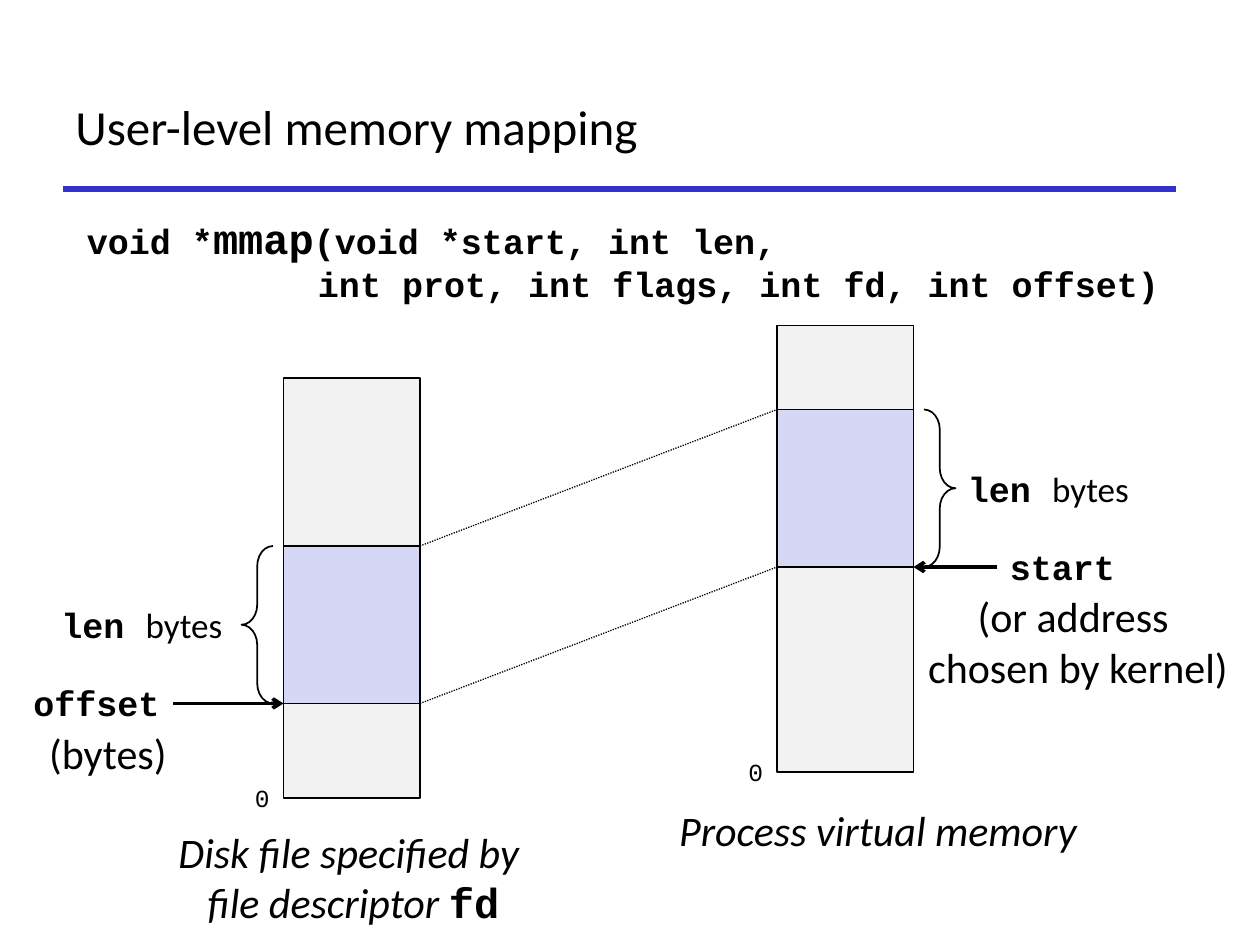
import pptx
import pptx.dml.color
import pptx.enum.dml
import pptx.enum.shapes
import pptx.enum.text
import pptx.oxml
import pptx.oxml.ns
import pptx.util

Pt = pptx.util.Pt
SHAPES = pptx.enum.shapes.MSO_SHAPE
ALIGN = pptx.enum.text.PP_ALIGN
FIT = pptx.enum.text.MSO_AUTO_SIZE

COLORS = {"ink": "000000", "rule": "3333CC", "memory": "F2F2F2", "mapped": "D6D6F5"}
PROSE, CODE = "Calibri", "Courier New"
COLUMN_WIDTH, MAPPED_HEIGHT = 78, 90
BRACE_WIDTH, BRACE_GAP = 18, 6


def rgb(name):
    return pptx.dml.color.RGBColor.from_string(COLORS[name])


def style(font, size, face=PROSE, bold=False, italic=False):
    font.size, font.name, font.bold, font.italic = Pt(size), face, bold, italic
    font.color.rgb = rgb("ink")


def add_text(slide, left, top, width, height, paragraphs, align=ALIGN.LEFT, fit=True):
    """Add a box; each paragraph is a list of (text, size, face, bold, italic) runs."""
    box = slide.shapes.add_textbox(Pt(left), Pt(top), Pt(width), Pt(height))
    frame = box.text_frame
    frame.word_wrap = not fit
    frame.auto_size = FIT.SHAPE_TO_FIT_TEXT if fit else FIT.NONE
    for index, runs in enumerate(paragraphs):
        paragraph = frame.add_paragraph() if index else frame.paragraphs[0]
        paragraph.alignment = align
        if len(runs) == 1:
            style(paragraph.font, *runs[0][1:])
        for text, *look in runs:
            run = paragraph.add_run()
            run.text = text
            if len(runs) > 1:
                style(run.font, *look)
    return frame


def add_line(slide, start, end, width, color="ink", dotted=False, arrow=False):
    line = slide.shapes.add_connector(
        pptx.enum.shapes.MSO_CONNECTOR.STRAIGHT, *map(Pt, (*start, *end)))
    line.line.color.rgb = rgb(color)
    line.line.width = Pt(width)
    if dotted:
        line.line.dash_style = pptx.enum.dml.MSO_LINE.ROUND_DOT
    if arrow:
        pptx.oxml.ns.qn("a:tailEnd")
        head = pptx.oxml.parse_xml(
            f'<a:tailEnd {pptx.oxml.ns.nsdecls("a")} type="arrow"/>')
        line.line._get_or_add_ln().append(head)
    properties = line._element.spPr
    properties.append(pptx.oxml.parse_xml(
        f'<a:effectLst {pptx.oxml.ns.nsdecls("a")}/>'))


def add_outlined(slide, kind, left, top, width, height, fill=None):
    shape = slide.shapes.add_shape(kind, Pt(left), Pt(top), Pt(width), Pt(height))
    shape.shadow.inherit = False
    if fill:
        shape.fill.solid()
        shape.fill.fore_color.rgb = rgb(fill)
    else:
        shape.fill.background()
    shape.line.color.rgb = rgb("ink")
    shape.line.width = Pt(1)
    return shape


def add_memory(slide, left, top, height, mapped_top):
    """Add a memory column with its mapped region and the zero address at its foot."""
    add_outlined(slide, SHAPES.RECTANGLE, left, top, COLUMN_WIDTH, height, "memory")
    add_outlined(slide, SHAPES.RECTANGLE, left, mapped_top,
                 COLUMN_WIDTH, MAPPED_HEIGHT, "mapped")
    add_text(slide, left - 23.5, top + height - 12, 23, 24, [[("0", 14, CODE)]])


def add_length(slide, brace_left, top, label_left, opens_right=False):
    """Add a brace spanning the mapped region, with its length label."""
    brace = add_outlined(slide, SHAPES.RIGHT_BRACE, brace_left, top,
                         BRACE_WIDTH, MAPPED_HEIGHT)
    brace.adjustments[0] = 0.64
    if opens_right:
        brace._element.spPr.get_or_add_xfrm().flipH = True
    add_text(slide, label_left, top + 29.5, 109.5, 31.5,
             [[("len ", 20, CODE, True), ("bytes", 20)]])


def add_heading(slide):
    add_line(slide, (36, 108), (672, 108), 3, "rule")
    title = add_text(slide, 36, 36, 636, 72,
                     [[("User-level memory mapping", 28)]], fit=False)
    title.vertical_anchor = pptx.enum.text.MSO_ANCHOR.MIDDLE
    signature = add_text(slide, 42.5, 120, 636, 65.5, [
        [("void *", 20, CODE, True), ("mmap", 24, CODE, True),
         ("(void *start, int len,", 20, CODE, True)],
        [("           int prot, int flags, int fd, int offset)", 20, CODE, True)],
    ], fit=False)
    for paragraph in signature.paragraphs:
        paragraph.line_spacing = 0.94
    signature.paragraphs[1].space_before = Pt(1.5)


def main():
    deck = pptx.Presentation()
    deck.slide_width, deck.slide_height = Pt(720), Pt(540)
    slide = deck.slides.add_slide(deck.slide_layouts[6])
    add_heading(slide)

    disk_left, disk_mapped = 162, 312
    process_left, process_mapped = 444, 234
    disk_right = disk_left + COLUMN_WIDTH
    process_right = process_left + COLUMN_WIDTH
    offset_level = disk_mapped + MAPPED_HEIGHT
    start_level = process_mapped + MAPPED_HEIGHT

    add_memory(slide, disk_left, 216, 240, disk_mapped)
    add_memory(slide, process_left, 186, 255, process_mapped)
    for edge in (0, MAPPED_HEIGHT):
        add_line(slide, (disk_right, disk_mapped + edge),
                 (process_left, process_mapped + edge), 0.75, dotted=True)

    add_length(slide, disk_left - BRACE_GAP - BRACE_WIDTH, disk_mapped, 28,
               opens_right=True)
    add_length(slide, process_right + BRACE_GAP, process_mapped, 546)

    add_line(slide, (99, offset_level), (disk_left, offset_level), 2, arrow=True)
    add_text(slide, 12, 386, 87, 31.5, [[("offset", 20, CODE, True)]])
    add_text(slide, 21, 412, 84, 36.5, [[("(bytes)", 24)]])

    add_line(slide, (570, start_level), (process_right, start_level), 2, arrow=True)
    add_text(slide, 570, 308, 75, 31.5, [[("start", 20, CODE, True)]])
    add_text(slide, 522, 334, 188, 65.5,
             [[("(or address ", 24)], [("chosen by kernel)", 24)]], ALIGN.CENTER)

    add_text(slide, 381, 456, 244, 36.5,
             [[("Process virtual memory", 24, PROSE, False, True)]])
    add_text(slide, 93.5, 468.5, 217, 65.5, [
        [("Disk file specified by ", 24, PROSE, False, True)],
        [("file descriptor ", 24, PROSE, False, True), ("fd", 24, CODE, True)],
    ], ALIGN.CENTER)
    deck.save("out.pptx")


if __name__ == "__main__":
    main()
